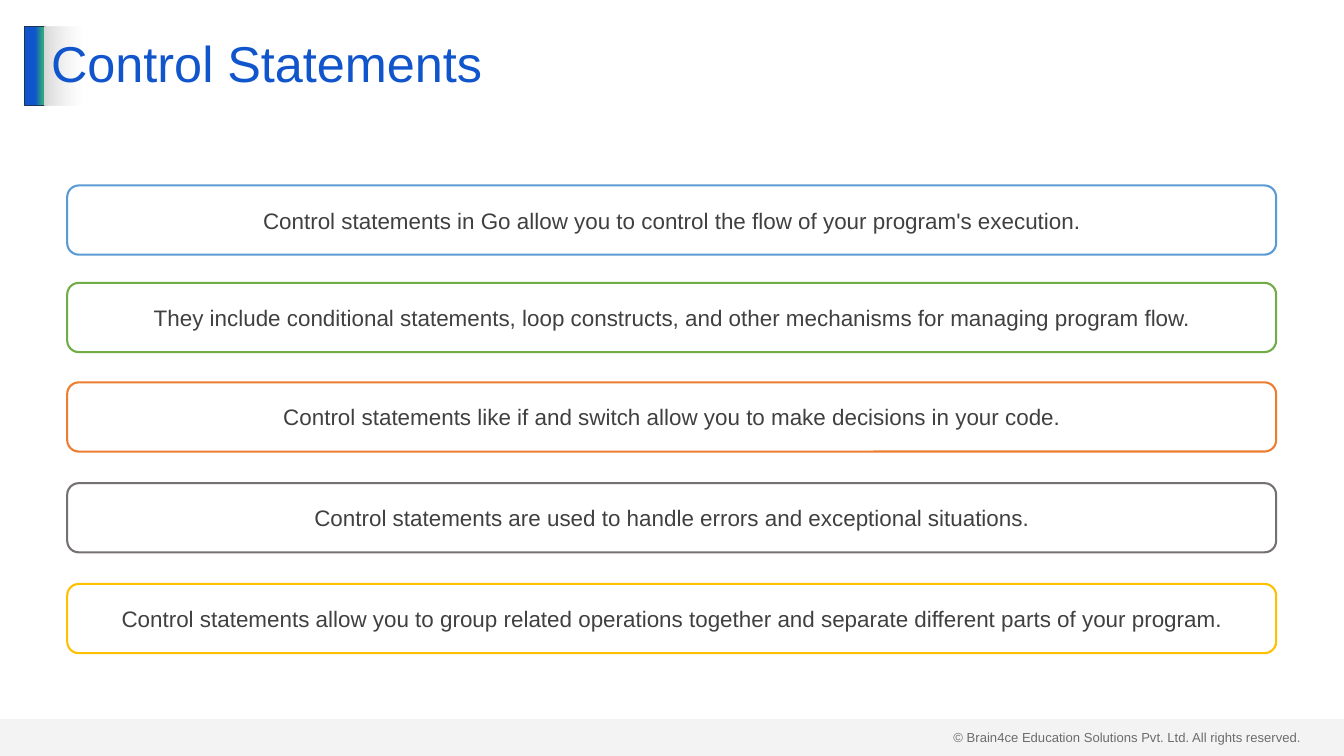
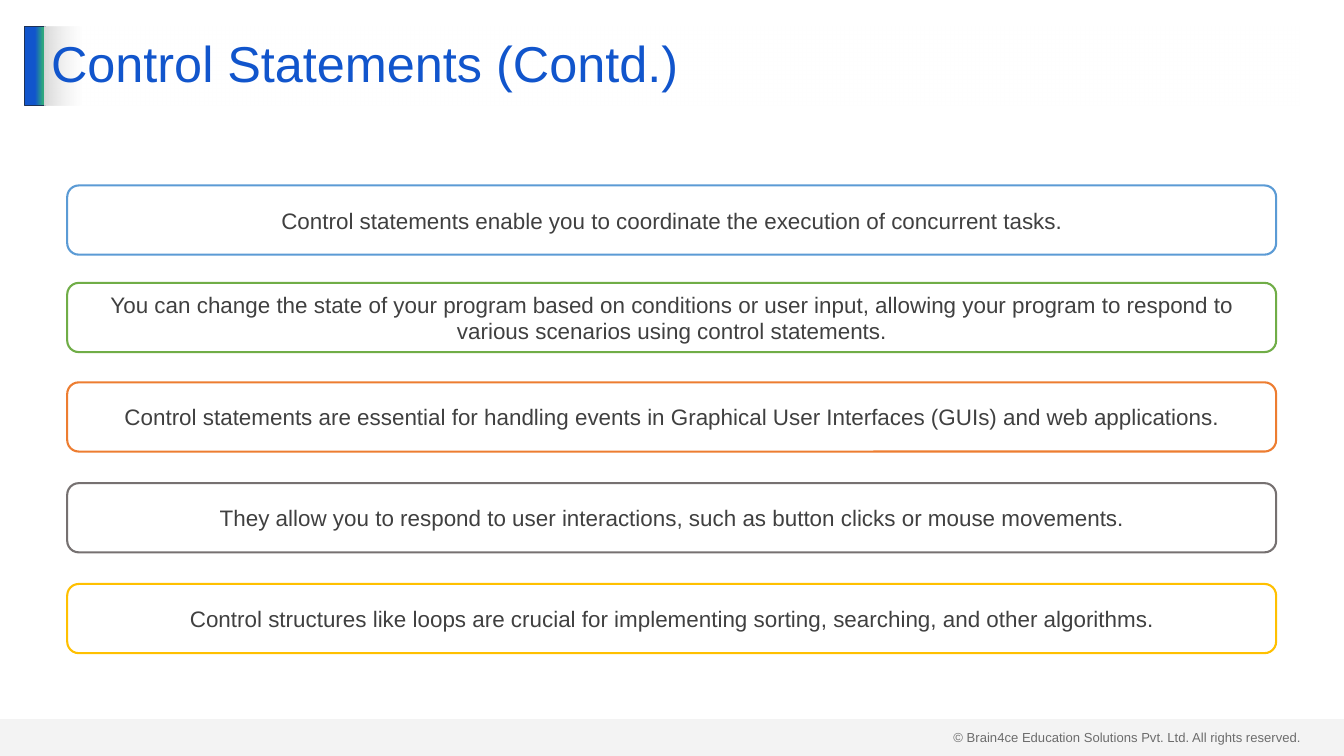
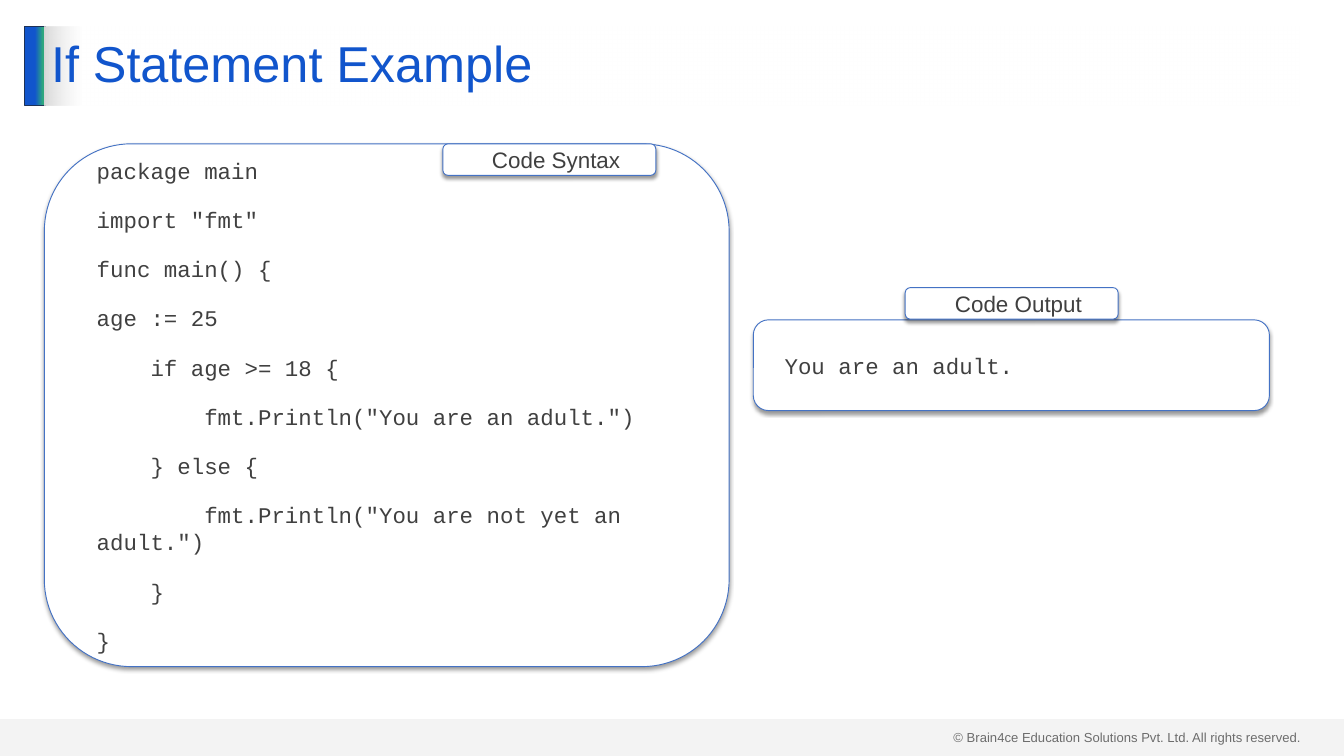
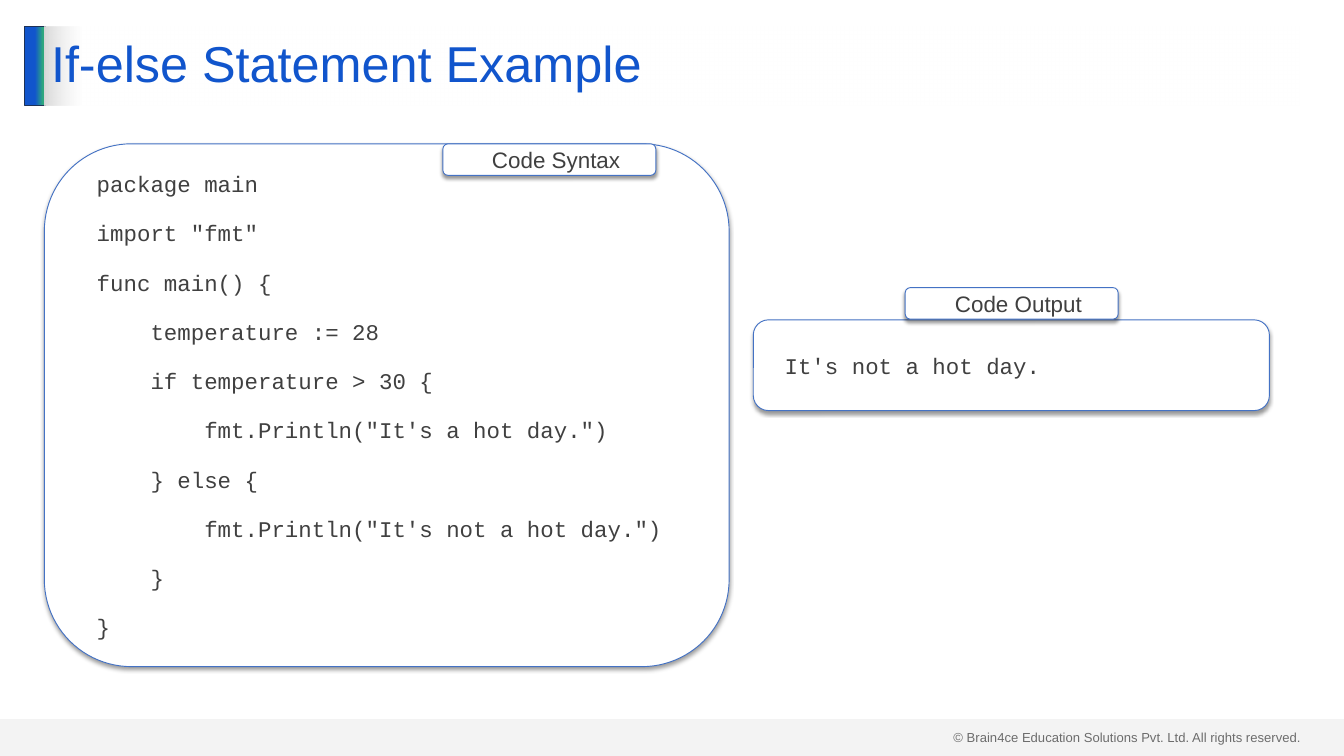
from pptx import Presentation
from pptx.dml import color
from pptx.enum import shapes, text
from pptx.oxml import ns, parse_xml
from pptx.util import Inches, Pt

COLORS = {
    "white": "FFFFFF", "ink": "404040", "title": "1155CC", "teal": "2EA87D",
    "navy": "1E3256", "mist": "D9D9D9", "panel": "4472C4", "blue": "5B9BD5",
    "green": "70AD47", "orange": "ED7D31", "gray": "767171", "gold": "FFC000",
}
SANS, MONO = "Arial", "Courier New"
COPYRIGHT = "© Brain4ce Education Solutions Pvt. Ltd. All rights reserved."
ROW_TOPS = (2.76, 4.21, 5.69, 7.19, 8.69)
ROW_COLORS = ("blue", "green", "orange", "gray", "gold")

STATEMENT_PAGES = {
    "Control Statements": (
        "Control statements in Go allow you to control the flow of your program's execution.",
        "They include conditional statements, loop constructs, and other mechanisms for managing program flow.",
        "Control statements like if and switch allow you to make decisions in your code.",
        "Control statements are used to handle errors and exceptional situations.",
        "Control statements allow you to group related operations together and separate different parts of your program.",
    ),
    "Control Statements (Contd.)": (
        "Control statements enable you to coordinate the execution of concurrent tasks.",
        "You can change the state of your program based on conditions or user input, allowing your program to respond to various scenarios using control statements.",
        "Control statements are essential for handling events in Graphical User Interfaces (GUIs) and web applications.",
        "They allow you to respond to user interactions, such as button clicks or mouse movements.",
        "Control structures like loops are crucial for implementing sorting, searching, and other algorithms.",
    ),
}

IF_CODE = """package main
import "fmt"
func main() {
age := 25
    if age >= 18 {
        fmt.Println("You are an adult.")
    } else {
        fmt.Println("You are not yet an adult.")
    }
}"""

IF_ELSE_CODE = """package main
import "fmt"
func main() {
    temperature := 28
    if temperature > 30 {
        fmt.Println("It's a hot day.")
    } else {
        fmt.Println("It's not a hot day.")
    }
}"""

EXAMPLE_PAGES = {
    "If Statement Example": (IF_CODE, "You are an adult."),
    "If-else Statement Example": (IF_ELSE_CODE, "It's not a hot day."),
}


def rgb(name):
    return color.RGBColor.from_string(COLORS[name])


def write(shape, content, size=24, font=SANS, ink="ink", align="LEFT",
          anchor="MIDDLE", inset=(0.1, 0.05), indent=0, gap=0, spacing=None):
    frame = shape.text_frame
    frame.word_wrap = True
    frame.auto_size = text.MSO_AUTO_SIZE.NONE
    frame.vertical_anchor = getattr(text.MSO_ANCHOR, anchor)
    frame.margin_left = frame.margin_right = Inches(inset[0])
    frame.margin_top = frame.margin_bottom = Inches(inset[1])
    lines = content.split("\n")
    for index, line in enumerate(lines):
        para = frame.add_paragraph() if index else frame.paragraphs[0]
        para.alignment = getattr(text.PP_ALIGN, align)
        if indent:
            para.level = 1
            properties = para._p.get_or_add_pPr()
            properties.set("marL", str(Inches(indent)))
            properties.set("indent", "0")
        para.space_before = Pt(gap if index else 0)
        para.space_after = Pt(gap if index < len(lines) - 1 else 0)
        if spacing:
            para.line_spacing = spacing
        span = para.add_run()
        span.text = line
        span.font.size = Pt(size)
        span.font.name = font
        span.font.color.rgb = rgb(ink)


def add_block(page, box, fill="white", line=None, width=1, kind="ROUNDED_RECTANGLE"):
    shape = page.shapes.add_shape(
        getattr(shapes.MSO_SHAPE, kind), *map(Inches, box))
    shape.shadow.inherit = False
    shape.fill.solid()
    shape.fill.fore_color.rgb = rgb(fill)
    if line:
        shape.line.color.rgb = rgb(line)
        shape.line.width = Pt(width)
    else:
        shape.line.fill.background()
    return shape


def add_alpha(color_element, percent):
    color_element.append(parse_xml(
        f'<a:alpha {ns.nsdecls("a")} val="{percent * 1000}"/>'))


def paint_gradient(shape, stops):
    shape.fill.gradient()
    shape.fill.gradient_angle = 0
    stop_list = shape.element.spPr.find(".//" + ns.qn("a:gsLst"))
    for stop in list(stop_list):
        stop_list.remove(stop)
    for position, name, alpha in stops:
        stop = parse_xml(
            f'<a:gs {ns.nsdecls("a")} pos="{position * 1000}">'
            f'<a:srgbClr val="{COLORS[name]}"/></a:gs>')
        if alpha < 100:
            add_alpha(stop[0], alpha)
        stop_list.append(stop)


def add_shadow(shape):
    effects = shape.element.spPr.find(ns.qn("a:effectLst"))
    shadow = parse_xml(
        f'<a:outerShdw {ns.nsdecls("a")} blurRad="{Pt(4)}" dist="{Pt(3)}" '
        'dir="5400000" algn="t" rotWithShape="0"><a:srgbClr val="000000"/></a:outerShdw>')
    add_alpha(shadow[0], 40)
    effects.append(shadow)


def furnish_layout(layout, page):
    footer = page.shapes.add_textbox(*map(Inches, (14.09, 10.8, 5.41, 0.34)))
    write(footer, COPYRIGHT, size=14, anchor="TOP")
    accent = add_block(page, (0.37, 0.39, 0.3, 1.18), line="navy", kind="RECTANGLE")
    paint_gradient(accent, ((51, "title", 100), (90, "teal", 100), (100, "teal", 100)))
    band = add_block(page, (0, 10.7, 20, 0.55), fill="mist", kind="RECTANGLE")
    add_alpha(band.element.spPr.find(ns.qn("a:solidFill"))[0], 29)
    for shape in (footer, accent, band):
        layout.shapes.element.append(shape.element)


def add_page(deck, title):
    layout = deck.slide_layouts[5]
    page = deck.slides.add_slide(layout)
    if len(deck.slides) == 1:
        furnish_layout(layout, page)
    heading = page.shapes.title
    heading.left, heading.top, heading.width, heading.height = map(
        Inches, (0.66, 0.39, 18.67, 1.18))
    paint_gradient(heading, ((0, "mist", 100), (3, "white", 50)))
    write(heading, title, size=54, ink="title", spacing=0.9)
    return page


def add_statements(page, statements, left=1, width=17.99, height=1.03):
    for top, name, statement in zip(ROW_TOPS, ROW_COLORS, statements):
        row = add_block(page, (left, top, width, height), line=name, width=2.25)
        write(row, statement, align="CENTER")


def add_panel(page, box, content, **style):
    panel = add_block(page, box, line="panel")
    add_shadow(panel)
    write(panel, content, inset=(0.2, 0.1), indent=0.2, gap=12, **style)


def add_labelled_code(page, box, code, label, label_offset):
    left, top = box[:2]
    add_panel(page, box, code, font=MONO)
    across, down = label_offset
    add_panel(page, (left + across, top + down, 3.17, 0.47), label, align="CENTER")


def main():
    deck = Presentation()
    deck.slide_width, deck.slide_height = Inches(20), Inches(11.25)
    for title, statements in STATEMENT_PAGES.items():
        add_statements(add_page(deck, title), statements)
    for title, (code, output) in EXAMPLE_PAGES.items():
        page = add_page(deck, title)
        add_labelled_code(page, (0.66, 2.14, 10.19, 7.78), code, "Code Syntax", (5.93, 0))
        add_labelled_code(page, (11.21, 4.76, 7.68, 1.35), output, "Code Output", (2.26, -0.48))
    deck.save("out.pptx")


if __name__ == "__main__":
    main()
